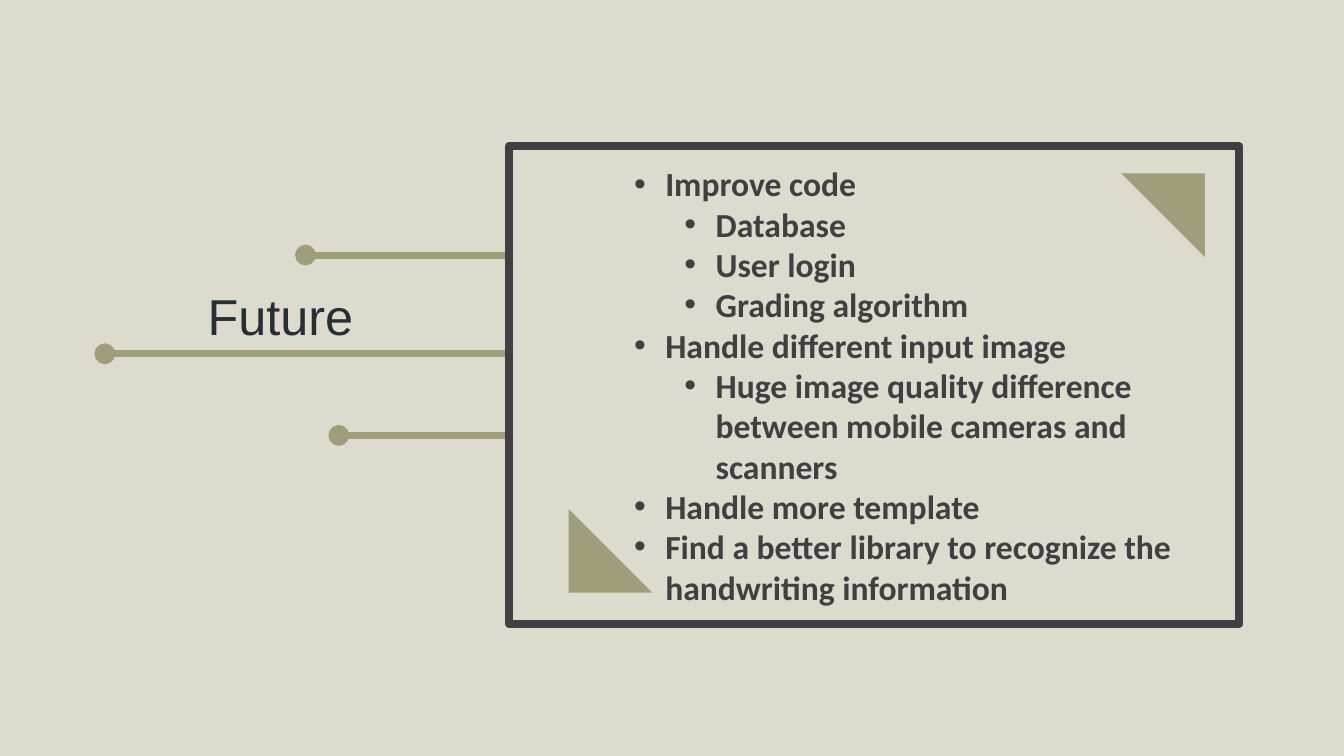
from lxml import etree
from pptx import Presentation
from pptx.dml.color import RGBColor
from pptx.enum.shapes import MSO_CONNECTOR, MSO_SHAPE
from pptx.enum.text import MSO_ANCHOR, PP_ALIGN
from pptx.oxml.ns import qn
from pptx.util import Inches, Pt

STRAIGHT = MSO_CONNECTOR.STRAIGHT
RECT, TRIANGLE = MSO_SHAPE.RECTANGLE, MSO_SHAPE.RIGHT_TRIANGLE
TOP, MIDDLE = MSO_ANCHOR.TOP, MSO_ANCHOR.MIDDLE
LEFT = PP_ALIGN.LEFT

COLORS = {"paper": "DDDBCE", "olive": "A09D7A", "dark": "423E42", "title": "272F34"}
PLANS = [
    (0, "Improve code"),
    (1, "Database"),
    (1, "User login"),
    (1, "Grading algorithm"),
    (0, "Handle different input image"),
    (1, "Huge image quality difference between mobile cameras and scanners"),
    (0, "Handle more template"),
    (0, "Find a better library to recognize the handwriting information"),
]


def color(name):
    """Return a palette colour."""
    return RGBColor.from_string(COLORS[name])


def write(p, text, size=24, font="Calibri", ink="dark", bold=False, level=None):
    """Write one formatted paragraph, bulleted when a level is given."""
    p.alignment = LEFT
    if level is not None:
        p.level = level
        pPr = p._p.get_or_add_pPr()
        pPr.set("marL", str(Inches(0.31 + 0.5 * level)))
        pPr.set("indent", str(-Inches(0.31)))
        etree.SubElement(pPr, qn("a:buFont"), typeface="Arial")
        etree.SubElement(pPr, qn("a:buChar"), char="•")
    r = p.add_run()
    r.text = text
    r.font.size, r.font.name, r.font.bold = Pt(size), font, bold
    r.font.color.rgb = color(ink)


def add_block(s, kind, x, y, w, h, fill=None, line=None, width=6):
    """Add a flat preset shape with an optional fill and outline."""
    sp = s.shapes.add_shape(kind, Inches(x), Inches(y), Inches(w), Inches(h))
    sp.shadow.inherit = False
    if fill:
        sp.fill.solid()
        sp.fill.fore_color.rgb = color(fill)
    else:
        sp.fill.background()
    if line:
        sp.line.color.rgb = color(line)
        sp.line.width = Pt(width)
    else:
        sp.line.fill.background()
    return sp


def add_branches(s, x, y, w):
    """Draw three dotted branches that end at the right edge of their box."""
    for dx, dy in ((1.99, 0), (0, 0.98), (2.32, 1.79)):
        c = s.shapes.add_connector(STRAIGHT, Inches(x + dx), Inches(y + dy),
                                   Inches(x + w), Inches(y + dy))
        c.line.color.rgb = color("olive")
        c.line.width = Pt(5)
        etree.SubElement(c.line._get_or_add_ln(), qn("a:headEnd"), type="oval")
        etree.SubElement(c._element.spPr, qn("a:effectLst"))


def add_title(s, x, y, w, h):
    """Place the slide title."""
    sp = s.shapes.title
    sp.left, sp.top, sp.width, sp.height = map(Inches, (x, y, w, h))
    tf = sp.text_frame
    tf.word_wrap, tf.vertical_anchor = False, TOP
    write(tf.paragraphs[0], "Future", size=36, font="Arial", ink="title")


def add_plans(s, x, y, w, h):
    """Build the framed list of plans with its two corner triangles."""
    sp = add_block(s, RECT, x + 1.14, y + 0.1, 6.23, h - 0.2, fill="paper")
    alpha = sp._element.spPr.find(qn("a:solidFill"))[0]
    etree.SubElement(alpha, qn("a:alpha"), val="90000")
    tf = sp.text_frame
    tf.word_wrap, tf.vertical_anchor = True, MIDDLE
    for i, (level, text) in enumerate(PLANS):
        p = tf.add_paragraph() if i else tf.paragraphs[0]
        write(p, text, bold=True, level=level)
    add_block(s, RECT, x, y, w, h, line="dark")
    side = 0.83
    for left, top, turn in ((x + 0.59, y + 3.6, 0), (x + 6.07, y + 0.27, 180)):
        add_block(s, TRIANGLE, left, top, side, side, fill="olive").rotation = turn


def main():
    """Build and save the slide."""
    prs = Presentation()
    prs.slide_width, prs.slide_height = Inches(13.33), Inches(7.5)
    s = prs.slides.add_slide(prs.slide_layouts[5])
    s.background.fill.solid()
    s.background.fill.fore_color.rgb = color("paper")
    add_branches(s, 1.04, 2.53, 4.01)
    add_title(s, 1.96, 2.78, 2.23, 0.71)
    add_plans(s, 5.05, 1.45, 7.24, 4.74)
    prs.save("out.pptx")


if __name__ == "__main__":
    main()
